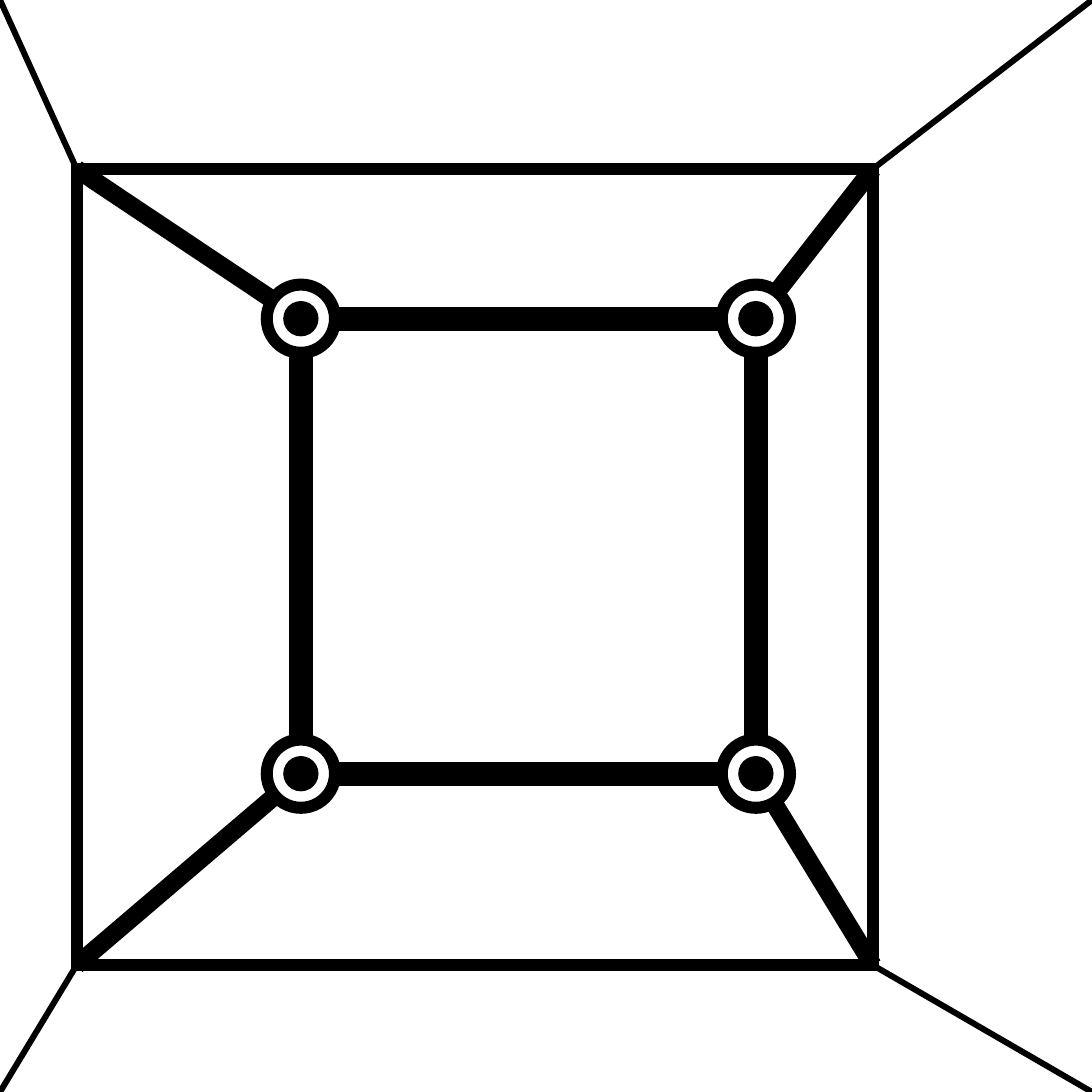
from dataclasses import dataclass

from lxml import etree
from pptx import Presentation
from pptx.dml.color import RGBColor
from pptx.enum.shapes import MSO_CONNECTOR, MSO_SHAPE
from pptx.oxml.ns import qn
from pptx.util import Pt

RECT = MSO_SHAPE.RECTANGLE
OVAL = MSO_SHAPE.OVAL
STRAIGHT = MSO_CONNECTOR.STRAIGHT

BLACK = "000000"
WHITE = "FFFFFF"
SLIDE_SIZE = 907.2
RING_SIZE = 56.7
DOT_SIZE = 28.35


@dataclass(frozen=True)
class Square:
    left: float
    top: float
    size: float

    def corners(self) -> list[tuple[float, float]]:
        """Top left, top right, bottom left, bottom right."""
        return [(self.left + dx, self.top + dy)
                for dy in (0, self.size) for dx in (0, self.size)]


def rgb(color: str) -> RGBColor:
    return RGBColor.from_string(color)


def add_shape(shapes, kind, area: Square, fill: str | None, weight: float) -> None:
    s = shapes.add_shape(kind, Pt(area.left), Pt(area.top),
                         Pt(area.size), Pt(area.size))
    s.shadow.inherit = False
    if fill is None:
        s.fill.background()
    else:
        s.fill.solid()
        s.fill.fore_color.rgb = rgb(fill)
    s.line.color.rgb = rgb(BLACK)
    s.line.width = Pt(weight)
    if kind == RECT:
        ln = s.line._get_or_add_ln()
        etree.SubElement(ln, qn("a:miter"), lim="800000")


def add_edges(shapes, start: Square, end: Square, weight: float) -> None:
    """Join the matching corners of two squares."""
    for (x1, y1), (x2, y2) in zip(start.corners(), end.corners()):
        c = shapes.add_connector(STRAIGHT, Pt(x1), Pt(y1), Pt(x2), Pt(y2))
        c.line.color.rgb = rgb(BLACK)
        c.line.width = Pt(weight)
        etree.SubElement(c._element.spPr, qn("a:effectLst"))


def add_node(shapes, x: float, y: float) -> None:
    group = shapes.add_group_shape()
    for size, fill, weight in ((RING_SIZE, WHITE, 10), (DOT_SIZE, BLACK, 1)):
        area = Square(x - size / 2, y - size / 2, size)
        add_shape(group.shapes, OVAL, area, fill, weight)


def main() -> None:
    prs = Presentation()
    prs.slide_width = prs.slide_height = Pt(SLIDE_SIZE)
    slide = prs.slides.add_slide(prs.slide_layouts[6])
    shapes = slide.shapes

    frame = Square(0, 0, SLIDE_SIZE)
    outer = Square(63.7, 140.4, 661.4)
    inner = Square(250, 264.8, 378)

    # Squares
    add_shape(shapes, RECT, outer, None, 10)
    add_shape(shapes, RECT, inner, None, 20)

    # Perspective edges
    add_edges(shapes, outer, frame, 5)
    add_edges(shapes, inner, outer, 15)

    # Ringed nodes on the inner corners
    for x, y in inner.corners():
        add_node(shapes, x, y)

    prs.save("out.pptx")


if __name__ == "__main__":
    main()
